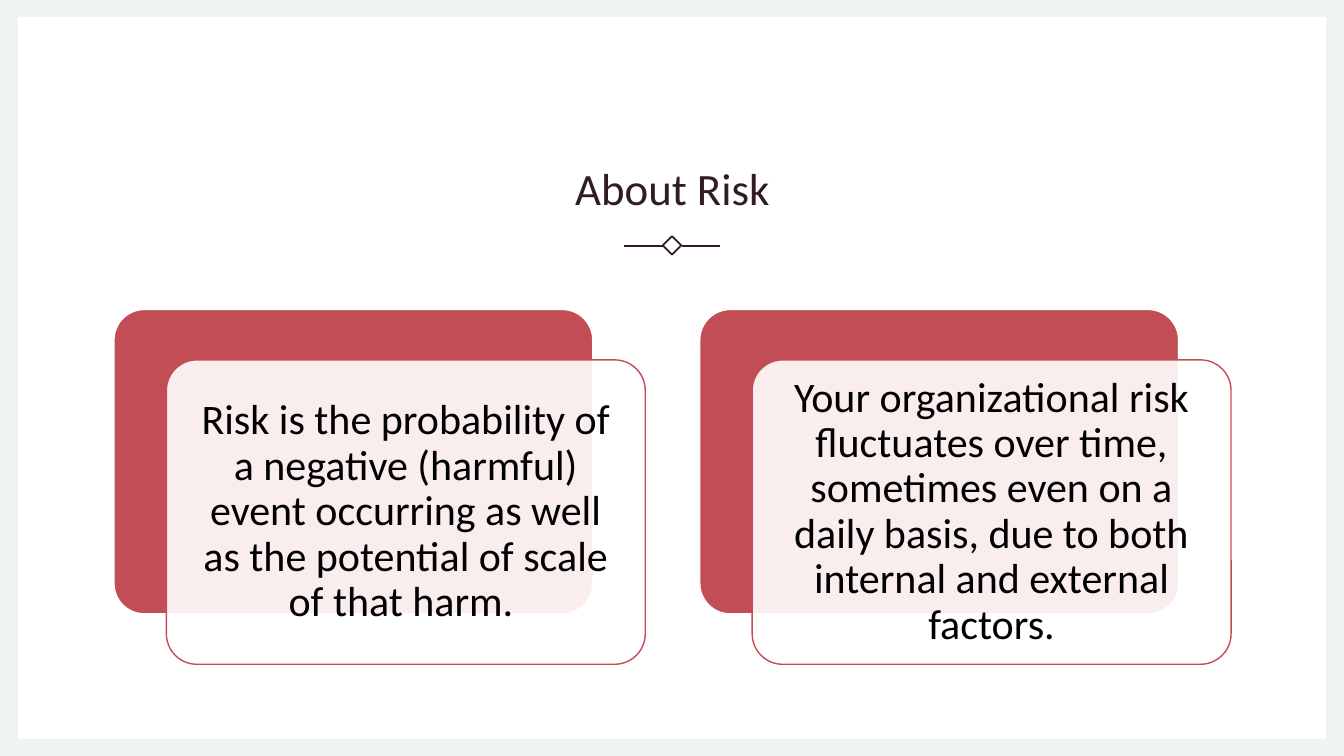
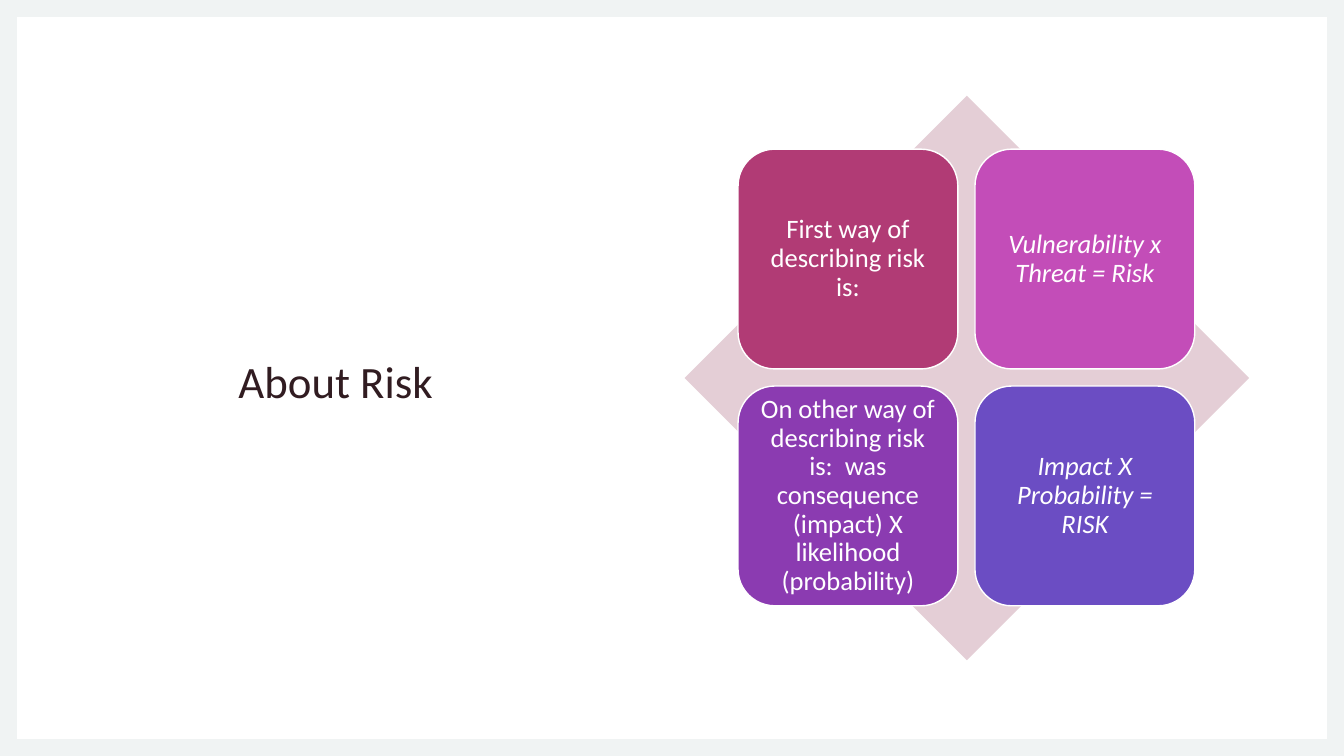
"""Build two slides about risk: overlapping cards and a four-tile matrix."""
from dataclasses import dataclass
from typing import Any, Optional

from lxml import etree
from pptx import Presentation
from pptx import util as u
from pptx.dml.color import RGBColor
from pptx.enum import shapes, text
from pptx.oxml.ns import qn

EMU_PER_PX = 9144
PAGE_WIDTH, PAGE_HEIGHT = 1333, 750
KIND = shapes.MSO_SHAPE


@dataclass(frozen=True)
class Theme:
    """Colours, font and type sizes of the deck."""
    font: str = "Calibri"
    border: str = "F0F3F3"
    white: str = "FFFFFF"
    black: str = "000000"
    ink: str = "311C21"
    red: str = "C34D55"
    blush: str = "E4CED6"
    raspberry: str = "B13B75"
    orchid: str = "C34DB8"
    purple: str = "8B3BB1"
    indigo: str = "6B4DC3"
    title_size: int = 32
    card_size: int = 30
    tile_size: int = 19


THEME = Theme()


@dataclass(frozen=True)
class Area:
    """Rectangle in px."""
    left: int
    top: int
    width: int
    height: int

    def emu(self) -> tuple[int, ...]:
        """Return the four lengths in EMU."""
        return tuple(px(n) for n in (self.left, self.top, self.width, self.height))


@dataclass(frozen=True)
class Words:
    """Centred text and its format."""
    content: str
    size: int
    color: str
    italic: bool = False
    spacing: float = 0.9
    anchor: Any = text.MSO_ANCHOR.MIDDLE
    margin: Optional[int] = None


@dataclass(frozen=True)
class Tile:
    """One cell of the risk matrix."""
    content: str
    fill: str
    italic: bool = False


CARDS = (
    "Risk is the probability of a negative (harmful) event occurring as well "
    "as the potential of scale of that harm. ",
    "Your organizational risk fluctuates over time, sometimes even on a daily "
    "basis, due to both internal and external factors.",
)
TILES = (
    Tile("First way of describing risk is:", THEME.raspberry),
    Tile("Vulnerability x Threat = Risk", THEME.orchid, True),
    Tile("On other way of describing risk is:  was consequence (impact) X "
         "likelihood (probability)", THEME.purple),
    Tile("Impact X Probability = RISK", THEME.indigo, True),
)


def px(length: int) -> int:
    """Turn px into EMU."""
    return u.Emu(length * EMU_PER_PX)


def set_all(target: Any, values: dict[str, Any]) -> None:
    """Set each named attribute on the target."""
    for name, value in values.items():
        setattr(target, name, value)


def write(box: Any, words: Words) -> None:
    """Put formatted text into a shape."""
    frame = box.text_frame
    set_all(frame, {"word_wrap": True, "vertical_anchor": words.anchor})
    if words.margin is not None:
        sides = ("left", "top", "right", "bottom")
        set_all(frame, {f"margin_{side}": px(words.margin) for side in sides})
    para = frame.paragraphs[0]
    set_all(para, {"alignment": text.PP_ALIGN.CENTER, "line_spacing": words.spacing})
    span = para.add_run()
    span.text = words.content
    set_all(span.font, {"name": THEME.font, "size": u.Pt(words.size), "italic": words.italic})
    span.font.color.rgb = RGBColor.from_string(words.color)


def set_line(line: Any, color: str, width: float) -> None:
    """Give a line its colour and width."""
    line.color.rgb = RGBColor.from_string(color)
    line.width = u.Pt(width)


def add_shape(page: Any, kind: Any, area: Area, fill: Optional[str] = None,
              line: Optional[str] = None, width: float = 1) -> Any:
    """Draw a flat preset shape."""
    shape = page.shapes.add_shape(kind, *area.emu())
    shape.shadow.inherit = False
    if fill:
        shape.fill.solid()
        shape.fill.fore_color.rgb = RGBColor.from_string(fill)
    else:
        shape.fill.background()
    if line:
        set_line(shape.line, line, width)
    else:
        shape.line.fill.background()
    return shape


def set_opacity(shape: Any, percent: int) -> None:
    """Make a solid fill partly transparent."""
    color = shape.fill._xPr.find(qn("a:solidFill"))[0]
    etree.SubElement(color, qn("a:alpha")).set("val", str(percent * 1000))


def add_page(deck: Any, margin: int, title: Area, anchor: Any) -> Any:
    """Add a bordered page with its title."""
    page = deck.slides.add_slide(deck.slide_layouts[6])
    add_shape(page, KIND.RECTANGLE, Area(0, 0, PAGE_WIDTH, PAGE_HEIGHT), THEME.border)
    panel = Area(margin, 17, PAGE_WIDTH - 2 * margin, PAGE_HEIGHT - 2 * 17)
    add_shape(page, KIND.RECTANGLE, panel, THEME.white)
    box = page.shapes.add_textbox(*title.emu())
    write(box, Words("About Risk", THEME.title_size, THEME.ink, spacing=1.1, anchor=anchor))
    return page


def add_ornament(page: Any) -> None:
    """Draw the diamond between two rules."""
    diamond = add_shape(page, KIND.RECTANGLE, Area(660, 237, 13, 13), line=THEME.ink, width=1.25)
    diamond.rotation = 45
    for start, end in ((619, 658), (676, 714)):
        rule = page.shapes.add_connector(
            shapes.MSO_CONNECTOR.STRAIGHT, px(start), px(244), px(end), px(244))
        set_line(rule.line, THEME.ink, 1.25)
        etree.SubElement(rule._element.spPr, qn("a:effectLst"))


def add_card(page: Any, left: int, content: str) -> None:
    """Draw a red card with a translucent text card over it."""
    back = add_shape(page, KIND.ROUNDED_RECTANGLE, Area(left, 307, 475, 302),
                     THEME.red, THEME.white)
    front = add_shape(page, KIND.ROUNDED_RECTANGLE, Area(left + 52, 357, 475, 302),
                      THEME.white, THEME.red)
    for card in (back, front):
        card.adjustments[0] = 0.1
    set_opacity(front, 90)
    write(front, Words(content, THEME.card_size, THEME.black, margin=12))


def add_matrix(page: Any) -> None:
    """Draw four tiles in a grid over a diamond."""
    add_shape(page, KIND.DIAMOND, Area(679, 95, 560, 560), THEME.blush)
    for index, tile in enumerate(TILES):
        row, column = divmod(index, 2)
        area = Area(732 + column * 235, 148 + row * 235, 218, 218)
        box = add_shape(page, KIND.ROUNDED_RECTANGLE, area, tile.fill, THEME.white)
        write(box, Words(tile.content, THEME.tile_size, THEME.white, tile.italic, margin=8))


def main() -> None:
    """Build and save the deck."""
    deck = Presentation()
    set_all(deck, {"slide_width": px(PAGE_WIDTH), "slide_height": px(PAGE_HEIGHT)})
    page = add_page(deck, 18, Area(113, 105, 1108, 113), text.MSO_ANCHOR.BOTTOM)
    add_ornament(page)
    for index, content in enumerate(CARDS):
        add_card(page, 113 + index * 581, content)
    page = add_page(deck, 17, Area(112, 112, 442, 525), text.MSO_ANCHOR.MIDDLE)
    add_matrix(page)
    deck.save("out.pptx")


if __name__ == "__main__":
    main()
